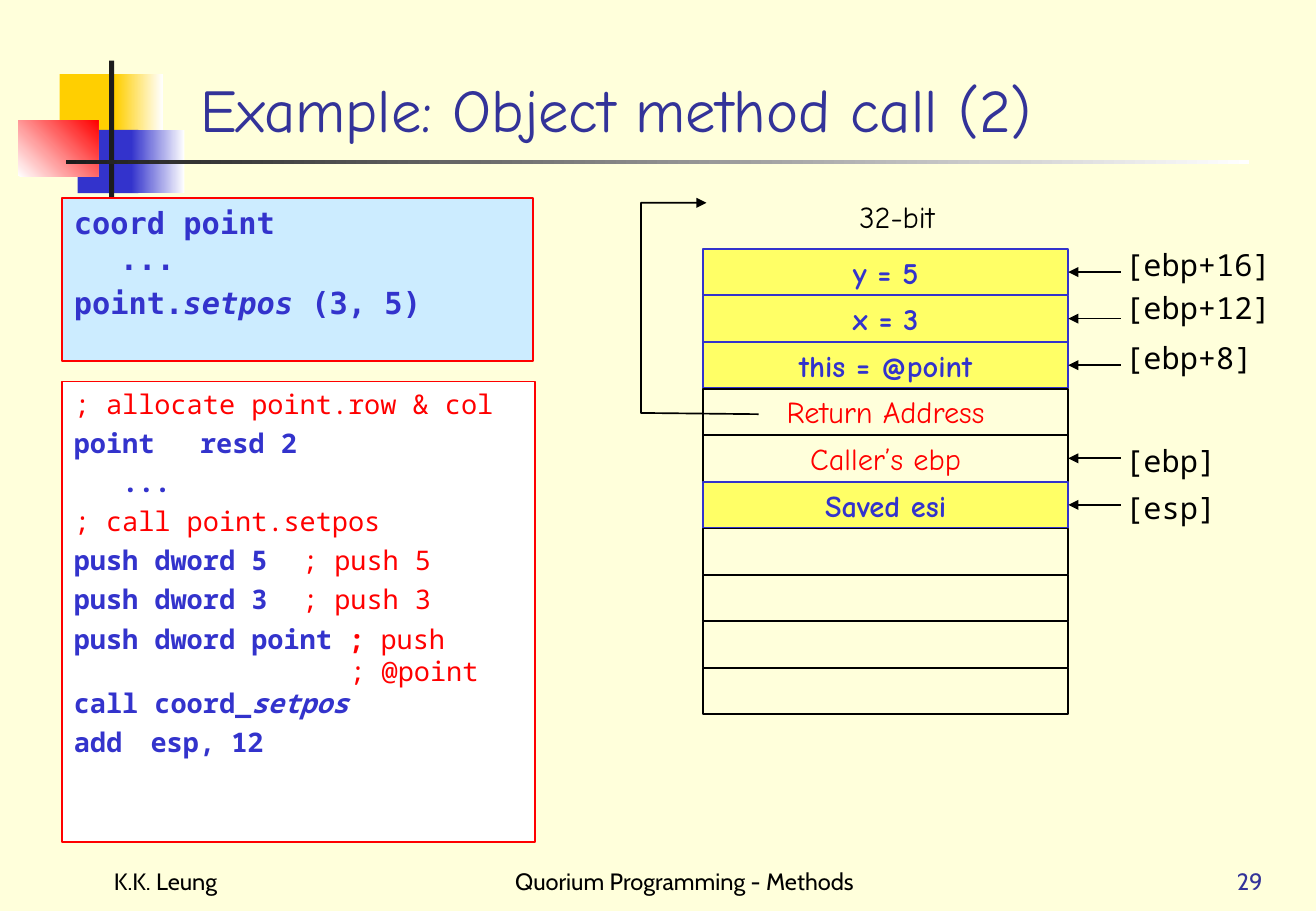
from lxml.etree import SubElement
from pptx import Presentation
from pptx.dml.color import RGBColor
from pptx.enum.shapes import MSO_CONNECTOR, MSO_SHAPE
from pptx.enum.text import MSO_ANCHOR, PP_ALIGN
from pptx.oxml.ns import qn
from pptx.util import Inches, Pt

COLORS = dict(
    paper="FFFFDB", gold="FFCF01", blue="3333CC", navy="333399", red="FF0000",
    white="FFFFFF", ink="1C1C1C", black="000000", sky="CCECFF", yellow="FFFF66",
)
HAND, SANS, CODE, MONO = "Comic Neue", "Cabin", "DejaVu Sans Mono", "Noto Sans Mono"
THEME = {
    "title": dict(name=HAND, size=36, color="navy"),
    "footer": dict(name=SANS, size=14, color="black"),
    "number": dict(name=SANS, size=14, color="navy"),
    "hand": dict(name=HAND, size=18, color="black"),
    "data": dict(name=HAND, size=18, color="blue", bold=True),
    "control": dict(name=HAND, size=18, color="red"),
    "offset": dict(name=MONO, size=18, color="black"),
    "call": dict(name=CODE, size=18, color="blue", bold=True),
    "method": dict(name=CODE, size=18, color="blue", bold=True, italic=True),
    "asm": dict(name=MONO, size=16, color="blue", bold=True),
    "asm_method": dict(name=MONO, size=16, color="blue", bold=True, italic=True),
    "note": dict(name=MONO, size=16, color="red"),
    "note_bold": dict(name=MONO, size=16, color="red", bold=True),
}

DECOR = [
    ((0.49, 0.61, 0.52, 0.52), ("gold",), 0),
    ((0.95, 0.61, 0.39, 0.52), ("gold", "white"), 0),
    ((0.64, 1.07, 0.5, 0.52), ("blue",), 0),
    ((1.08, 1.07, 0.44, 0.52), ("blue", "white"), 0),
    ((0.15, 0.99, 0.66, 0.46), ("white", "red"), 45),
    ((0.9, 0.5, 0.04, 1.15), ("ink",), 0),
    ((0.54, 1.32, 9.75, 0.03), ("ink", "white"), 0),
]
TITLE = ("Example: Object method call (2)", "title", (1.55, 0.31, 8.81, 0.93), PP_ALIGN.LEFT)
FOOTERS = [
    ("K.K. Leung", "footer", (0.84, 6.92, 2.26, 0.5), PP_ALIGN.LEFT),
    ("Quorium Programming - Methods", "footer", (3.84, 6.92, 3.6, 0.5), PP_ALIGN.CENTER),
    ("29", "number", (8.24, 6.92, 2.26, 0.5), PP_ALIGN.RIGHT),
]
SOURCE_BOX = (0.51, 1.63, 3.88, 1.34)
SOURCE_LINES = [
    dict(runs=[("coord point", "call")], before=4.5),
    dict(runs=[("...", "call")], indent=0.38),
    dict(runs=[("point.", "call"), ("setpos", "method"), (" (3, 5)", "call")], before=4.5),
]
ASM_BOX = (0.51, 3.14, 3.9, 3.79)
ASM_TABS = (0.5, 1.04, 1.88, 2.71, 3.13, 4, 5)
ASM_LINES = [
    dict(runs=[("; allocate point.row & col", "note")], before=4),
    dict(runs=[("point\tresd 2", "asm")], before=4),
    dict(runs=[("...", "asm")], before=4, indent=0.4),
    dict(runs=[("; call point.setpos", "note")], before=4),
    dict(runs=[("push dword 5\t", "asm"), ("; push 5", "note")], before=4),
    dict(runs=[("push dword 3\t", "asm"), ("; push 3", "note")], before=4),
    dict(runs=[("push dword point ", "asm"), ("; ", "note_bold"), ("push", "note")], before=4),
    dict(runs=[("; @point", "note")], indent=2.27),
    dict(runs=[("call coord_", "asm"), ("setpos", "asm_method")]),
    dict(runs=[("add\t esp, 12", "asm")], before=4),
]
STACK_HEAD = ("32-bit", "hand", (6.98, 1.58, 0.82, 0.4))
STACK = [
    ("y = 5", "data"), ("x = 3", "data"), ("this = @point", "data"),
    ("Return Address", "control"), ("Caller’s ebp", "control"), ("Saved esi", "data"),
    ("", None), ("", None), ("", None), ("", None),
]
STACK_LEFT, STACK_TOP, STACK_WIDTH, ROW_HEIGHT = 5.79, 2.05, 3.01, 0.38
ROW_PITCH = 3.45 / 9
OFFSETS = [(0, "[ebp+16]", 1.98), (1, "[ebp+12]", 2.33), (2, "[ebp+8]", 2.74),
           (4, "[ebp]", 3.59), (5, "[esp]", 3.98)]
OFFSET_LEFT, OFFSET_WIDTH, ARROW_LENGTH = 9.17, 1.5, 0.43
RETURN_PATH = [(6.25, 3.41), (5.28, 3.4), (5.28, 1.67), (5.82, 1.67)]


def rgb(name):
    return RGBColor.from_string(COLORS[name])


def write(sp, lines, align=PP_ALIGN.LEFT, anchor=MSO_ANCHOR.TOP, wrap=True, tabs=()):
    tf = sp.text_frame
    frame = dict(word_wrap=wrap, vertical_anchor=anchor, margin_left=Inches(0.1),
                 margin_right=Inches(0.1), margin_top=Inches(0.05), margin_bottom=Inches(0.05))
    for key, value in frame.items():
        setattr(tf, key, value)
    for i, line in enumerate(lines):
        p = tf.paragraphs[0] if i == 0 else tf.add_paragraph()
        p.alignment = align
        p.space_before = Pt(line.get("before", 0))
        pPr = p._p.get_or_add_pPr()
        pPr.set("marL", str(Inches(line.get("indent", 0))))
        if tabs:
            tab_list = SubElement(pPr, qn("a:tabLst"))
            for tab in tabs:
                SubElement(tab_list, qn("a:tab"), pos=str(Inches(tab)), algn="l")
        for text, style in line["runs"]:
            r = p.add_run()
            r.text = text
            for key, value in THEME[style].items():
                if key == "color":
                    r.font.color.rgb = rgb(value)
                else:
                    setattr(r.font, key, Pt(value) if key == "size" else value)


def add_text(s, text, style, box, align=PP_ALIGN.LEFT, **layout):
    sp = s.shapes.add_textbox(*map(Inches, box))
    write(sp, [dict(runs=[(text, style)])], align, **layout)


def add_box(s, box, fill=(), line=None, angle=0):
    sp = s.shapes.add_shape(MSO_SHAPE.RECTANGLE, *map(Inches, box))
    sp.shadow.inherit = False
    if len(fill) == 2:
        sp.fill.gradient()
        sp.fill.gradient_angle = angle
        for stop, name in zip(sp.fill.gradient_stops, fill):
            stop.color.rgb = rgb(name)
    elif fill:
        sp.fill.solid()
        sp.fill.fore_color.rgb = rgb(fill[0])
    else:
        sp.fill.background()
    if line:
        sp.line.color.rgb = rgb(line)
        sp.line.width = Pt(1)
    else:
        sp.line.fill.background()
    return sp


def style_arrow(sp):
    sp.line.color.rgb = rgb("black")
    sp.line.width = Pt(1)
    SubElement(sp.line._get_or_add_ln(), qn("a:tailEnd"), type="triangle")


def add_stack(s):
    cells = []
    for i, (text, style) in enumerate(STACK):
        box = (STACK_LEFT, STACK_TOP + i * ROW_PITCH, STACK_WIDTH, ROW_HEIGHT)
        is_data = style == "data"
        sp = add_box(s, box, ("yellow",) if is_data else (), "blue" if is_data else "black")
        if text:
            write(sp, [dict(runs=[(text, style)])], PP_ALIGN.CENTER, MSO_ANCHOR.MIDDLE, False)
        cells.append(sp)
    return cells


def add_offsets(s, cells):
    for row, label, top in OFFSETS:
        add_text(s, label, "offset", (OFFSET_LEFT, top, OFFSET_WIDTH, 0.4))
        cell = cells[row]
        x, y = cell.left + cell.width, cell.top + cell.height // 2
        arrow = s.shapes.add_connector(MSO_CONNECTOR.STRAIGHT, x + Inches(ARROW_LENGTH), y, x, y)
        arrow.end_connect(cell, 3)
        style_arrow(arrow)
        SubElement(arrow._element.spPr, qn("a:effectLst"))


def add_return_path(s):
    points = [(Inches(x), Inches(y)) for x, y in RETURN_PATH]
    builder = s.shapes.build_freeform(*points[0])
    builder.add_line_segments(points[1:], close=False)
    sp = builder.convert_to_shape()
    sp.fill.background()
    style_arrow(sp)
    sp.shadow.inherit = False


def main():
    prs = Presentation()
    prs.slide_width, prs.slide_height = Inches(10.84), Inches(7.5)
    s = prs.slides.add_slide(prs.slide_layouts[6])
    s.background.fill.solid()
    s.background.fill.fore_color.rgb = rgb("paper")
    for box, fill, angle in DECOR:
        add_box(s, box, fill, angle=angle)
    for item in [TITLE, *FOOTERS]:
        add_text(s, *item, anchor=MSO_ANCHOR.BOTTOM)
    write(add_box(s, SOURCE_BOX, ("sky",), "red"), SOURCE_LINES)
    write(add_box(s, ASM_BOX, ("white",), "red"), ASM_LINES, tabs=ASM_TABS)
    add_text(s, *STACK_HEAD, wrap=False)
    cells = add_stack(s)
    add_offsets(s, cells)
    add_return_path(s)
    prs.save("out.pptx")


if __name__ == "__main__":
    main()
